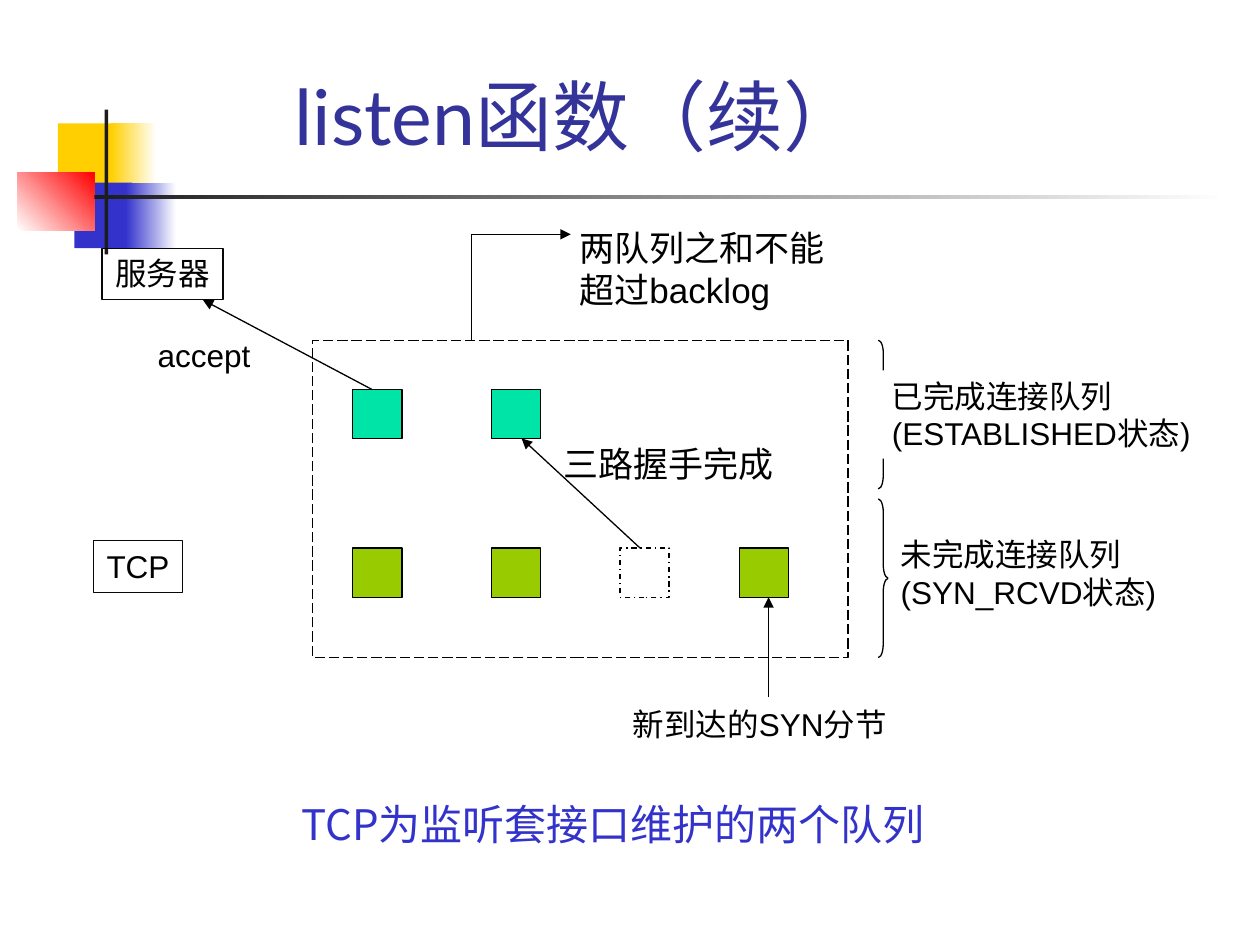
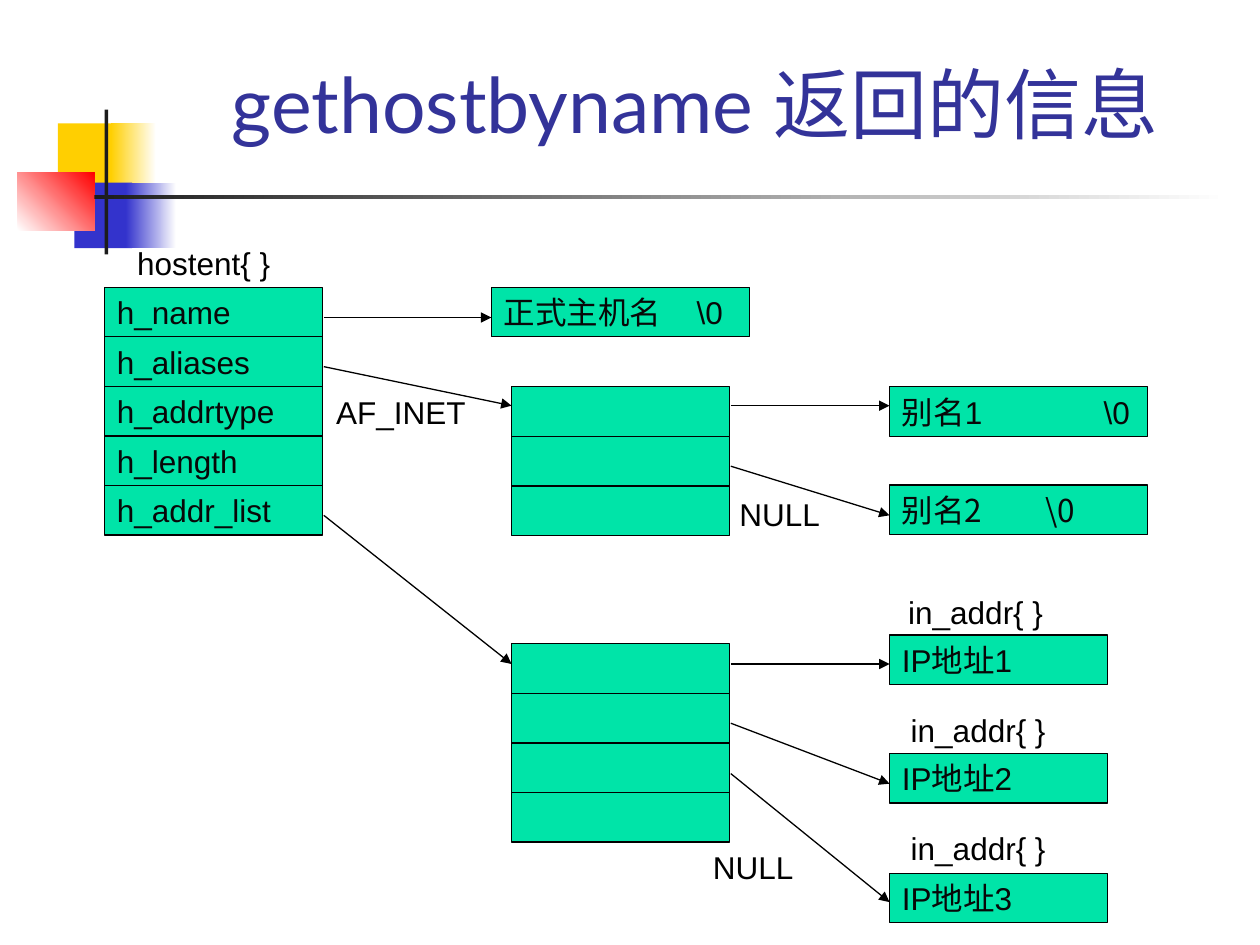
from lxml.etree import SubElement
from pptx import Presentation
from pptx.dml.color import RGBColor
from pptx.enum.dml import MSO_LINE_DASH_STYLE as Dash
from pptx.enum.shapes import MSO_CONNECTOR as Connector, MSO_SHAPE as Preset
from pptx.enum.text import MSO_ANCHOR as Anchor, MSO_AUTO_SIZE as AutoSize, PP_ALIGN as Align
from pptx.oxml.ns import qn
from pptx.util import Inches, Pt

BLACK = RGBColor(0x00, 0x00, 0x00)
INK = RGBColor(0x08, 0x08, 0x08)
CHARCOAL = RGBColor(0x1C, 0x1C, 0x1C)
WHITE = RGBColor(0xFF, 0xFF, 0xFF)
YELLOW = RGBColor(0xFF, 0xCF, 0x01)
BLUE = RGBColor(0x33, 0x33, 0xCC)
RED = RGBColor(0xFF, 0x00, 0x00)
NAVY = RGBColor(0x33, 0x33, 0x99)
TEAL = RGBColor(0x00, 0xE4, 0xA8)
OLIVE = RGBColor(0x99, 0xCC, 0x00)

CJK_FONT = "Noto Sans CJK JP"
THIN = Pt(0.75)


def write(shape, text, size=18, font="Arial", color=BLACK, align=Align.LEFT,
          anchor=Anchor.TOP, wrap=False, tab=None):
    """Put formatted lines of text in a shape, with an optional tab stop."""
    frame = shape.text_frame
    frame.text = text
    frame_format = {"word_wrap": wrap, "vertical_anchor": anchor, "auto_size": AutoSize.NONE}
    for name, value in frame_format.items():
        setattr(frame, name, value)
    for para in frame.paragraphs:
        para.alignment = align
        if tab:
            stops = SubElement(para._p.get_or_add_pPr(), qn("a:tabLst"))
            SubElement(stops, qn("a:tab"), pos=str(Inches(tab)), algn="l")
        for span in para.runs:
            for name, value in {"size": Pt(size), "name": font, "bold": False}.items():
                setattr(span.font, name, value)
            span.font.color.rgb = color
            SubElement(span.font._element, qn("a:ea"), typeface=CJK_FONT)


def add_box(page, at, fill=None, line=None, dash=None, preset=Preset.RECTANGLE,
            text=None, **text_format):
    """Add a shape; a [start, end, angle] fill makes a gradient."""
    box = page.shapes.add_shape(preset, *map(Inches, at))
    box.shadow.inherit = False
    if isinstance(fill, list):
        start, end, angle = fill
        box.fill.gradient()
        box.fill.gradient_angle = angle
        for stop, color in zip(box.fill.gradient_stops, (start, end)):
            stop.color.rgb = color
    elif fill is not None:
        box.fill.solid()
        box.fill.fore_color.rgb = fill
    else:
        box.fill.background()
    if line is not None:
        box.line.color.rgb = line
        box.line.width = THIN
        box.line.dash_style = dash
    else:
        box.line.fill.background()
    if text:
        write(box, text, **text_format)
    return box


deck = Presentation()
deck.slide_width, deck.slide_height = Inches(10), Inches(7.5)

# Titles
titles = [
    ("listen函数（续）", (0.5, 0.5, 8.17, 0.83)),
    ("gethostbyname 返回的信息", (1.26, 0.7, 8.52, 0.53)),
]
for text, at in titles:
    title = deck.slides.add_slide(deck.slide_layouts[5]).shapes.title
    for name, value in zip(("left", "top", "width", "height"), at):
        setattr(title, name, Inches(value))
    write(title, text, size=44, font="Lato", color=NAVY, align=Align.CENTER,
          anchor=Anchor.BOTTOM, wrap=True)
listen_page, host_page = deck.slides

# Corner ornament and rule, moved to the master so both slides share them
ornament = [
    ((0.46, 0.98, 0.48, 0.52), YELLOW),
    ((0.88, 0.98, 0.36, 0.52), [YELLOW, WHITE, 0]),
    ((0.59, 1.45, 0.46, 0.52), BLUE),
    ((1, 1.45, 0.4, 0.52), [BLUE, WHITE, 0]),
    ((0.14, 1.37, 0.61, 0.46), [WHITE, RED, 45]),
    ((0.83, 0.87, 0.03, 1.15), CHARCOAL),
    ((0.75, 1.55, 9, 0.03), [CHARCOAL, WHITE, 0]),
]
master_tree = deck.slide_master.shapes.element
for number, (at, fill) in enumerate(ornament, start=101):
    part = add_box(listen_page, at, fill)
    part.element.nvSpPr.cNvPr.set("id", str(number))
    master_tree.append(part.element)

# Slide 1: queue entries and the frame around both queues
SIDE = 0.39
DONE_TOP, PENDING_TOP = 3.09, 4.35
entries = [
    (2.8, DONE_TOP, TEAL, None), (3.9, DONE_TOP, TEAL, None),
    (2.8, PENDING_TOP, OLIVE, None), (3.9, PENDING_TOP, OLIVE, None),
    (4.92, PENDING_TOP, None, Dash.DASH_DOT), (5.87, PENDING_TOP, OLIVE, None),
]
for left, top, fill, dash in entries:
    add_box(listen_page, (left, top, SIDE, SIDE), fill, BLACK, dash)
add_box(listen_page, (2.48, 2.7, 4.25, 2.52), line=BLACK, dash=Dash.LONG_DASH)

# Slide 1: braces and the queue descriptions
for top, height, bend in [(2.7, 1.18, 1.26), (3.96, 1.26, 1.34)]:
    brace = add_box(listen_page, (6.97, top, 0.08, height), line=BLACK, preset=Preset.RIGHT_BRACE)
    brace.adjustments[0] = bend
queues = [
    ((6.98, 2.94, 2.59, 0.7), "已完成连接队列\n(ESTABLISHED状态)"),
    ((7.05, 4.2, 2.23, 0.7), "未完成连接队列\n(SYN_RCVD状态)"),
]
for at, text in queues:
    add_box(listen_page, at, WHITE, text=text, wrap=True)
for at, text in [((0.81, 1.97, 0.96, 0.41), "服务器"), ((0.74, 4.29, 0.71, 0.41), "TCP")]:
    add_box(listen_page, at, line=INK, text=text, align=Align.CENTER)

# Slide 2: the hostent structure and the two pointer lists
ROW = 1.18 / 3
FIELD_WIDTH, NAME_WIDTH = 1.73, 2.05
HOST_LEFT, LIST_LEFT, TARGET_LEFT = 0.83, 4.06, 7.06
CELL = {"fill": TEAL, "line": BLACK}
CELL_TEXT = {"color": INK, "anchor": Anchor.MIDDLE, "wrap": True}
stacks = [
    (HOST_LEFT, 2.28, ["h_name", "h_aliases", "h_addrtype", "h_length", "h_addr_list"]),
    (LIST_LEFT, 3.07, [None] * 3),
    (LIST_LEFT, 5.11, [None] * 4),
]
for left, top, fields in stacks:
    for index, field in enumerate(fields):
        add_box(host_page, (left, top + index * ROW, FIELD_WIDTH, ROW),
                text=field, **CELL, **CELL_TEXT)

# Slide 2: names ending in a null character, and addresses
names = [
    (3.9, 2.28, "正式主机名\t\\0", 1.53, "Arial"),
    (TARGET_LEFT, 3.07, "别名1\t\\0", 1.6, "Arial"),
    (TARGET_LEFT, 3.85, "别名2\t\\0", 1.14, CJK_FONT),
]
for left, top, text, tab, font in names:
    add_box(host_page, (left, top, NAME_WIDTH, ROW), text=text, tab=tab, font=font,
            **CELL, **CELL_TEXT)
for number, top in enumerate((5.04, 5.98, 6.93), start=1):
    add_box(host_page, (TARGET_LEFT, top, FIELD_WIDTH, ROW), text=f"IP地址{number}",
            **CELL, **CELL_TEXT)

# Free labels on both slides
CENTERED = {"align": Align.CENTER}
labels = [
    (listen_page, (4.37, 3.46, 1.87, 0.43), "三路握手完成", {"size": 20, **CENTERED}),
    (listen_page, (4.5, 1.75, 2.36, 0.77), "两队列之和不能\n超过backlog", {"size": 20, "wrap": True}),
    (listen_page, (4.92, 5.55, 2.22, 0.4), "新到达的SYN分节", {"wrap": True, **CENTERED}),
    (listen_page, (1.15, 2.62, 0.94, 0.4), "accept", CENTERED),
    (listen_page, (2.21, 6.29, 5.31, 0.5), "TCP为监听套接口维护的两个队列",
     {"size": 24, "font": CJK_FONT, "color": BLUE, **CENTERED}),
    (host_page, (0.99, 1.89, 1.26, 0.4), "hostent{ }", {}),
    (host_page, (5.77, 3.88, 0.84, 0.4), "NULL", {}),
    (host_page, (5.56, 6.68, 0.84, 0.4), "NULL", {}),
    (host_page, (2.57, 3.07, 1.23, 0.4), "AF_INET", {}),
    (host_page, (7.11, 4.66, 1.27, 0.4), "in_addr{ }", {}),
    (host_page, (7.13, 5.59, 1.27, 0.4), "in_addr{ }", {}),
    (host_page, (7.13, 6.53, 1.27, 0.4), "in_addr{ }", {}),
]
for page, at, text, text_format in labels:
    write(page.shapes.add_textbox(*map(Inches, at)), text, **text_format)

# Lines and arrows: page, start, end, arrowhead at the end
HOST_EDGE, LIST_EDGE = 2.57, 5.8
links = [
    (listen_page, (5.08, PENDING_TOP), (4.14, 3.48), True),
    (listen_page, (3.74, 2.7), (3.74, 1.86), False),
    (listen_page, (3.74, 1.86), (4.53, 1.86), True),
    (listen_page, (6.1, 5.53), (6.1, 4.74), True),
    (listen_page, (2.95, DONE_TOP), (1.61, 2.38), True),
    (host_page, (HOST_EDGE, 2.52), (3.9, 2.52), True),
    (host_page, (HOST_EDGE, 2.91), (LIST_LEFT, 3.22), True),
    (host_page, (HOST_EDGE, 4.09), (LIST_LEFT, 5.27), True),
    (host_page, (LIST_EDGE, 3.22), (TARGET_LEFT, 3.22), True),
    (host_page, (LIST_EDGE, 3.7), (TARGET_LEFT, 4.09), True),
    (host_page, (LIST_EDGE, 5.27), (TARGET_LEFT, 5.27), True),
    (host_page, (LIST_EDGE, 5.74), (TARGET_LEFT, 6.22), True),
    (host_page, (LIST_EDGE, 6.14), (TARGET_LEFT, 7.16), True),
]
for page, start, end, arrowhead in links:
    link = page.shapes.add_connector(Connector.STRAIGHT, *map(Inches, start + end))
    link.line.color.rgb = BLACK
    link.line.width = THIN
    if arrowhead:
        SubElement(link.line._get_or_add_ln(), qn("a:tailEnd"), type="triangle")
    SubElement(link.element.spPr, qn("a:effectLst"))

deck.save("out.pptx")
